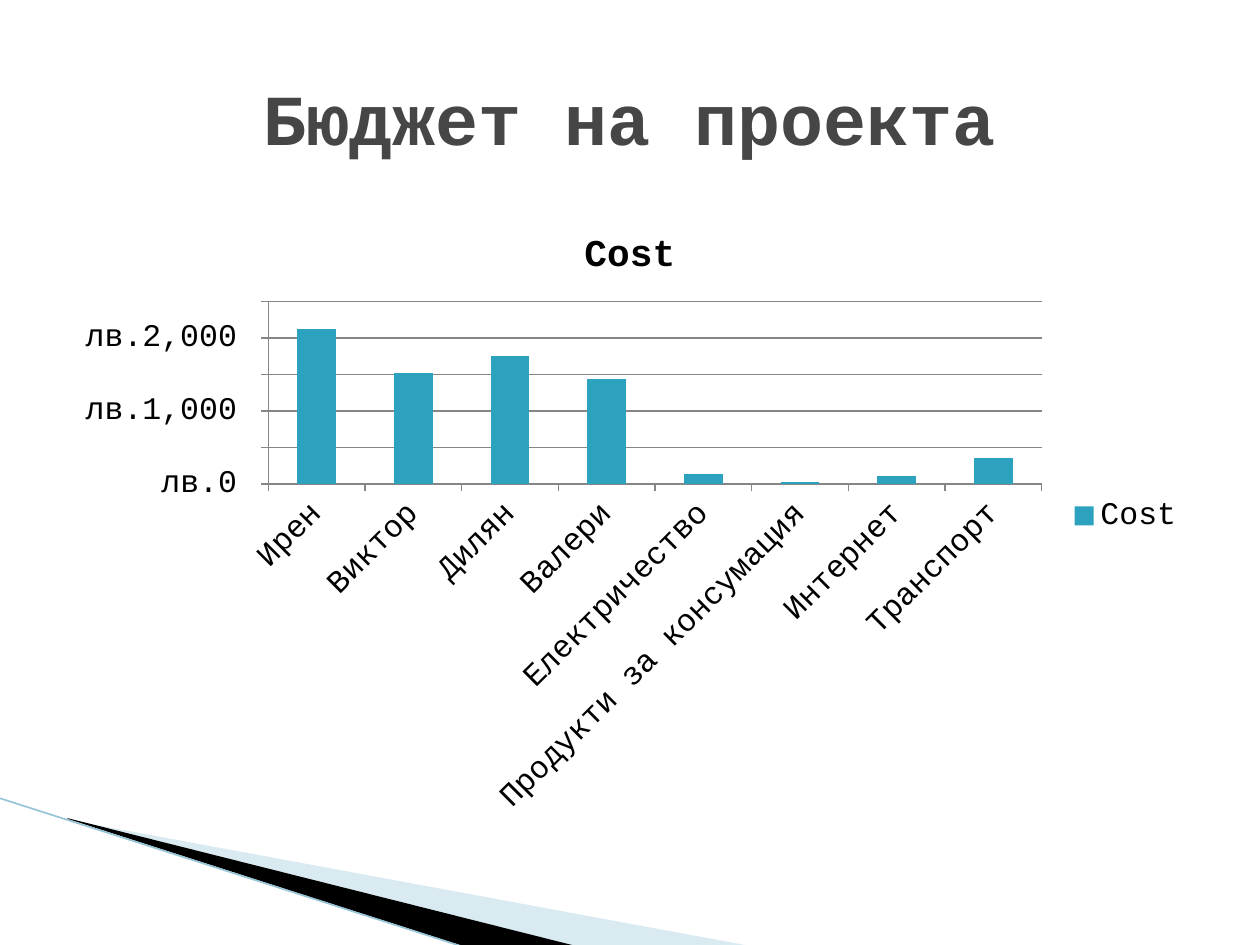
from lxml.etree import SubElement
from pptx import Presentation
from pptx.chart.data import CategoryChartData
from pptx.dml.color import RGBColor
from pptx.enum.chart import XL_CHART_TYPE, XL_LEGEND_POSITION, XL_TICK_MARK
from pptx.enum.shapes import MSO_CONNECTOR
from pptx.enum.text import MSO_ANCHOR, PP_ALIGN
from pptx.oxml.ns import qn
from pptx.util import Emu, Pt

# Content
TITLE = "Бюджет на проекта"
SERIES = "Cost"
COSTS = [
    ("Ирен", 2120),
    ("Виктор", 1520),
    ("Дилян", 1760),
    ("Валери", 1440),
    ("Електричество", 140),
    ("Продукти за консумация", 30),
    ("Интернет", 110),
    ("Транспорт", 360),
]
CURRENCY = '"лв."#,##0_);[Red]\\("лв."#,##0\\)'

# Style
FONT = "Courier New"
BLACK = RGBColor(0x00, 0x00, 0x00)
TITLE_GREY = RGBColor(0x46, 0x46, 0x46)
AXIS_GREY = RGBColor(0x86, 0x86, 0x86)
BAR_TEAL = RGBColor(0x2D, 0xA2, 0xBF)
PALE_BLUE = RGBColor(0xA0, 0xCB, 0xDC)
EDGE_BLUE = RGBColor(0x97, 0xC5, 0xD8)

# Decorative wedges: corner points in px, fill, opacity in percent
WEDGES = [
    ([(69, 820), (750, 946), (575, 946), (69, 819)], PALE_BLUE, 40),
    ([(67, 818), (576, 946), (469, 948), (68, 819)], BLACK, 100),
]
EDGE = (-1, 798, 467, 948)
CHART_BOX = (63, 204, 1134, 624)
TITLE_BOX = (63, 38, 1134, 157)

SCALE = 914400 / 126  # EMU per px


def px(*lengths):
    return [Emu(round(length * SCALE)) for length in lengths]


def set_font(font, size, color, bold=False):
    font.name, font.size, font.bold = FONT, Pt(size), bold
    font.color.rgb = color


prs = Presentation()
prs.slide_width, prs.slide_height = px(1260, 945)
slide = prs.slides.add_slide(prs.slide_layouts[5])
shapes = slide.shapes

# Corner decoration
for points, color, opacity in WEDGES:
    builder = shapes.build_freeform(*points[0], scale=SCALE)
    builder.add_line_segments(points[1:], close=True)
    wedge = builder.convert_to_shape()
    wedge.shadow.inherit = False
    wedge.line.fill.background()
    wedge.fill.solid()
    wedge.fill.fore_color.rgb = color
    if opacity < 100:
        tint = wedge.fill._xPr.find(qn("a:solidFill"))[0]
        SubElement(tint, qn("a:alpha"), val=str(opacity * 1000))

edge = shapes.add_connector(MSO_CONNECTOR.STRAIGHT, *px(*EDGE))
edge.line.color.rgb = EDGE_BLUE
edge.line.width = Pt(0.95)
SubElement(edge._element.spPr, qn("a:effectLst"))

# Cost chart
data = CategoryChartData(number_format=CURRENCY)
data.categories = [item for item, cost in COSTS]
data.add_series(SERIES, [cost for item, cost in COSTS])
chart = shapes.add_chart(XL_CHART_TYPE.COLUMN_STACKED, *px(*CHART_BOX), data).chart
set_font(chart.font, 18, BLACK)

chart.has_title = True
heading = chart.chart_title.text_frame.paragraphs[0].add_run()
heading.text = SERIES
set_font(heading.font, 21.6, BLACK, bold=True)

chart.has_legend = True
chart.legend.position = XL_LEGEND_POSITION.RIGHT
chart.legend.include_in_layout = False

plot = chart.plots[0]
plot.gap_width, plot.overlap, plot.vary_by_categories = 150, 100, False
bars = plot.series[0].format.fill
bars.solid()
bars.fore_color.rgb = BAR_TEAL

items, costs = chart.category_axis, chart.value_axis
costs.has_major_gridlines = True
costs.tick_labels.number_format = CURRENCY
costs.tick_labels.number_format_is_linked = False
for axis in (items, costs):
    axis.major_tick_mark = XL_TICK_MARK.OUTSIDE
    axis.minor_tick_mark = XL_TICK_MARK.NONE
    set_font(axis.tick_labels.font, 18, BLACK)
for rule in (items, costs, costs.major_gridlines):
    rule.format.line.color.rgb = AXIS_GREY
    rule.format.line.width = Pt(0.75)

# Slanted category labels
slant = items._element.find(qn("c:txPr")).find(qn("a:bodyPr"))
slant.set("rot", str(-45 * 60000))
slant.set("vert", "horz")

# Title
title = shapes.title
title.left, title.top, title.width, title.height = px(*TITLE_BOX)
title.text_frame.vertical_anchor = MSO_ANCHOR.MIDDLE
title_line = title.text_frame.paragraphs[0]
title_line.alignment = PP_ALIGN.CENTER
title_run = title_line.add_run()
title_run.text = TITLE
set_font(title_run.font, 41, TITLE_GREY, bold=True)

prs.save("out.pptx")
